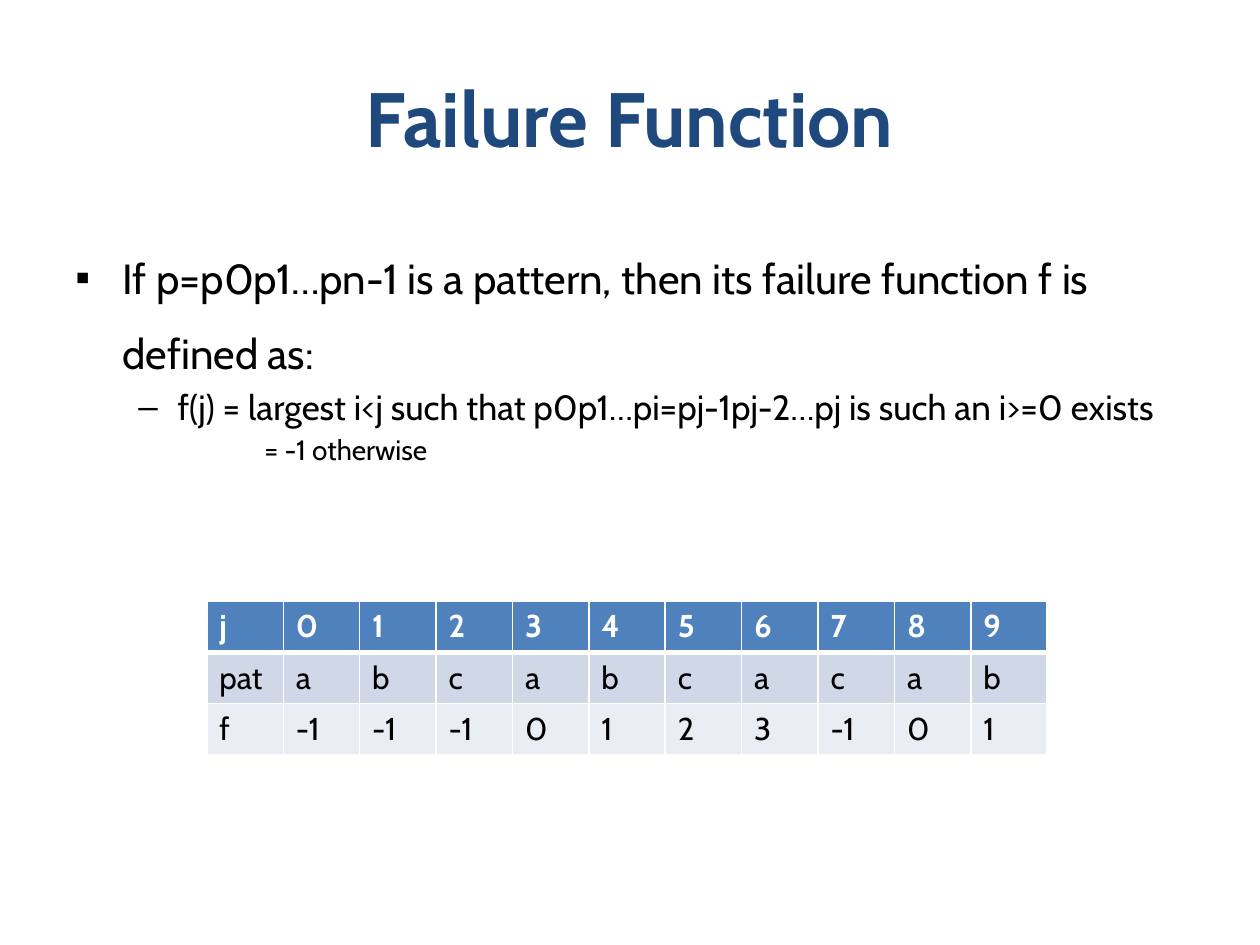
from lxml.etree import SubElement
from pptx import Presentation
from pptx.dml.color import RGBColor
from pptx.enum.text import MSO_ANCHOR, PP_ALIGN
from pptx.oxml.ns import qn
from pptx.util import Cm, Pt

FONT = "Cabin"
BLACK, WHITE, NAVY = "000000", "FFFFFF", "1F497D"
ROW_FILLS = ["4F81BD", "D0D8E8", "E9EDF4"]

# text, level, size, left indent (cm), first line (cm), line spacing, bullet
DEFINITION = [
    ("If p=p0p1…pn-1 is a pattern, then its failure function f is defined as:",
     0, 24, 0.95, -0.95, 1.5, "▪"),
    ("f(j) = largest i<j such that p0p1…pi=pj-1pj-2…pj is such an i>=0 exists",
     1, 20, 2.06, -0.79, 1.0, "–"),
    ("= -1 otherwise", 3, 16, 4.45, -0.64, 1.0, None),
]
FAILURE_ROWS = [
    ["j", *"0123456789"],
    ["pat", *"abcabcacab"],
    ["f", "-1", "-1", "-1", "0", "1", "2", "3", "-1", "0", "1"],
]


def color(hex_value):
    return RGBColor.from_string(hex_value)


def add_run(paragraph, text, size, hex_value, bold=False):
    run = paragraph.add_run()
    run.text = text
    run.font.name = FONT
    run.font.size = Pt(size)
    run.font.bold = bold
    run.font.color.rgb = color(hex_value)


def add_text_frame(slide, left, top, width, height):
    frame = slide.shapes.add_textbox(Cm(left), Cm(top), Cm(width), Cm(height)).text_frame
    frame.word_wrap = True
    return frame


def set_indent(paragraph, left, first_line, bullet):
    properties = paragraph._p.get_or_add_pPr()
    properties.set("marL", str(Cm(left)))
    properties.set("indent", str(Cm(first_line)))
    if bullet:
        SubElement(properties, qn("a:buFont"), typeface="Arial")
        SubElement(properties, qn("a:buChar"), char=bullet)
    else:
        SubElement(properties, qn("a:buNone"))


def set_borders(cell, top, bottom):
    properties = cell._tc.get_or_add_tcPr()
    for side, width in (("L", 1), ("R", 1), ("T", top), ("B", bottom)):
        line = SubElement(properties, qn(f"a:ln{side}"), w=str(Pt(width)))
        fill = SubElement(line, qn("a:solidFill"))
        SubElement(fill, qn("a:srgbClr"), val=WHITE)


def add_title(slide, left, top, width, height):
    frame = add_text_frame(slide, left, top, width, height)
    frame.vertical_anchor = MSO_ANCHOR.MIDDLE
    heading = frame.paragraphs[0]
    heading.alignment = PP_ALIGN.CENTER
    add_run(heading, "Failure Function", 44, NAVY, bold=True)


def add_definition(slide, left, top, width, height):
    frame = add_text_frame(slide, left, top, width, height)
    for i, (text, level, size, indent, first_line, spacing, bullet) in enumerate(DEFINITION):
        paragraph = frame.add_paragraph() if i else frame.paragraphs[0]
        paragraph.level = level
        paragraph.line_spacing = spacing
        paragraph.space_before = Pt(0.2 * size)
        set_indent(paragraph, indent, first_line, bullet)
        add_run(paragraph, text, size, BLACK)


def add_failure_table(slide, left, top, width, height):
    row_count, column_count = len(FAILURE_ROWS), len(FAILURE_ROWS[0])
    table = slide.shapes.add_table(row_count, column_count, Cm(left), Cm(top),
                                   Cm(width), Cm(height)).table
    for r, (values, fill) in enumerate(zip(FAILURE_ROWS, ROW_FILLS)):
        is_header = r == 0
        for c, value in enumerate(values):
            cell = table.cell(r, c)
            # The rule under the header is heavier than the others
            set_borders(cell, top=3 if r == 1 else 1, bottom=3 if is_header else 1)
            cell.fill.solid()
            cell.fill.fore_color.rgb = color(fill)
            add_run(cell.text_frame.paragraphs[0], value, 18,
                    WHITE if is_header else BLACK, bold=is_header)


def main():
    presentation = Presentation()
    presentation.slide_width, presentation.slide_height = Cm(25.4), Cm(19.05)
    slide = presentation.slides.add_slide(presentation.slide_layouts[6])
    add_title(slide, 1.27, 0.76, 22.86, 3.18)
    add_definition(slide, 1.27, 4.45, 22.86, 12.57)
    add_failure_table(slide, 4.17, 12.12, 16.94, 3.09)
    presentation.save("out.pptx")


if __name__ == "__main__":
    main()
